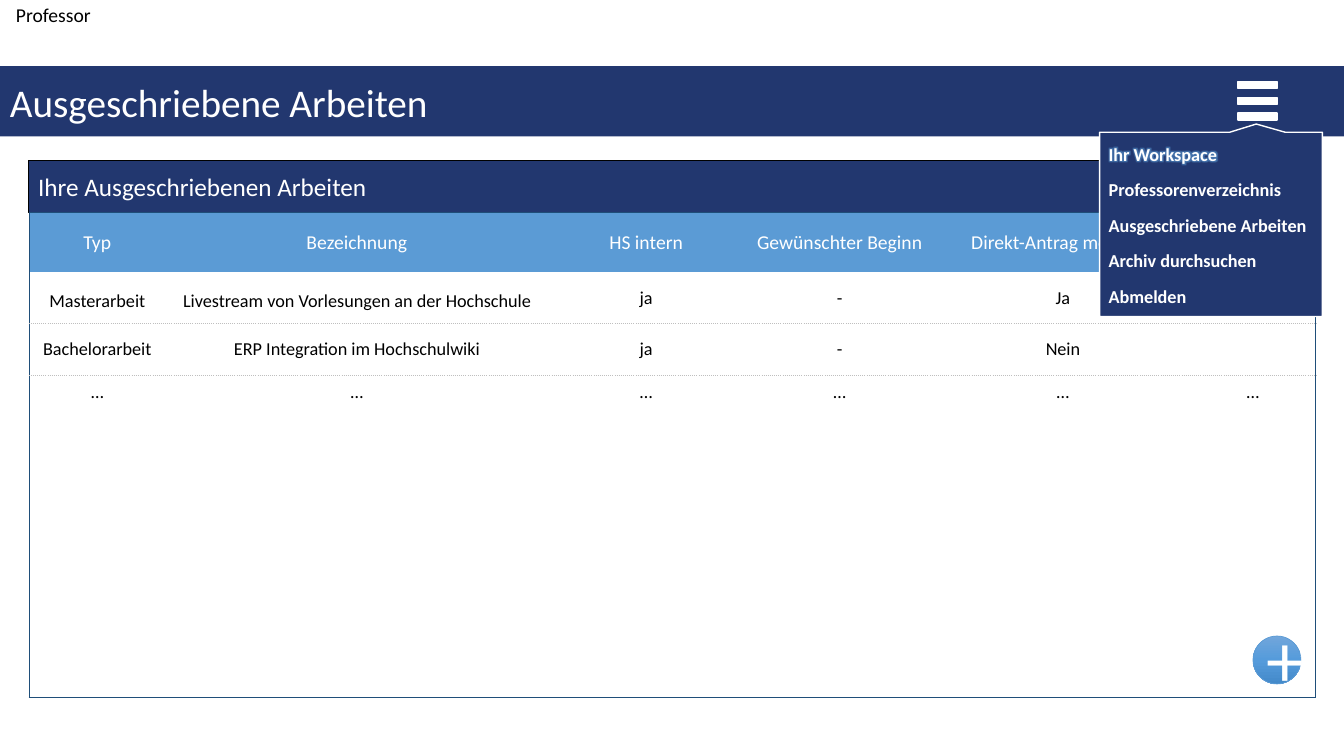
from copy import deepcopy

from lxml import etree
from pptx import Presentation
from pptx.dml.color import RGBColor
from pptx.enum.shapes import MSO_SHAPE
from pptx.enum.text import MSO_ANCHOR, PP_ALIGN
from pptx.oxml.ns import qn
from pptx.util import Pt

RECTANGLE = MSO_SHAPE.RECTANGLE
ELLIPSE = MSO_SHAPE.OVAL
CALLOUT = MSO_SHAPE.RECTANGULAR_CALLOUT
MIDDLE, TOP = MSO_ANCHOR.MIDDLE, MSO_ANCHOR.TOP
LEFT, CENTER = PP_ALIGN.LEFT, PP_ALIGN.CENTER

FONT = "Calibri"
NAVY = RGBColor(0x22, 0x37, 0x6F)
BLUE = RGBColor(0x5B, 0x9B, 0xD5)
FRAME = RGBColor(0x1F, 0x4E, 0x79)
DOTTED = RGBColor(0xBF, 0xBF, 0xBF)
WHITE = RGBColor(0xFF, 0xFF, 0xFF)
BLACK = RGBColor(0, 0, 0)
BUTTON_STOPS = [
    (0, RGBColor(0x71, 0xA6, 0xDB)),
    (0.5, RGBColor(0x55, 0x9B, 0xDB)),
    (1, RGBColor(0x44, 0x8A, 0xCA)),
]

ROLE = "Professor"
PAGE_TITLE = "Ausgeschriebene Arbeiten"
TABLE_TITLE = "Ihre Ausgeschriebenen Arbeiten"
ROWS = [
    ["Typ", "Bezeichnung", "HS intern", "Gewünschter Beginn",
     "Direkt-Antrag möglich?", "bearbeiten"],
    ["Masterarbeit", "Livestream von Vorlesungen an der Hochschule", "ja", "-", "Ja", ""],
    ["Bachelorarbeit", "ERP Integration im Hochschulwiki", "ja", "-", "Nein", ""],
    ["…"] * 6,
]
COLUMN_WIDTHS = [97.2, 273.6, 139.7, 136.8, 182.2, 89.3]
ROW_HEIGHTS = [42.5, 36.7, 36.7, 230.4]
MENU = ["Ihr Workspace", "Professorenverzeichnis", "Ausgeschriebene Arbeiten",
        "Archiv durchsuchen", "Abmelden"]
MENU_LEFT, MENU_TOP, MENU_WIDTH, MENU_STEP = 784.8, 98.6, 159.1, 25.4
ICON_LEFT, ICON_TOP, ICON_SIZE = 883.6, 57.7, 29.3
BAR_STEP = 11.2


def write(frame, text, size, color, align=LEFT, bold=False):
    paragraph = frame.paragraphs[0]
    paragraph.alignment = align
    run = paragraph.add_run()
    run.text = text
    run.font.name, run.font.size, run.font.bold = FONT, Pt(size), bold
    run.font.color.rgb = color
    return run


def set_insets(target, left, top, right, bottom):
    target.margin_left, target.margin_top = Pt(left), Pt(top)
    target.margin_right, target.margin_bottom = Pt(right), Pt(bottom)


def add_shape(shapes, kind, box, fill, line=None, line_width=1):
    shape = shapes.add_shape(kind, *map(Pt, box))
    shape.shadow.inherit = False
    shape.fill.solid()
    shape.fill.fore_color.rgb = fill
    if line is None:
        shape.line.fill.background()
    else:
        shape.line.color.rgb = line
        shape.line.width = Pt(line_width)
    shape.text_frame.vertical_anchor = MIDDLE
    shape.text_frame.word_wrap = True
    return shape


def add_label(shapes, box, text, size, color, bold=False):
    label = shapes.add_textbox(*map(Pt, box))
    label.text_frame.word_wrap = True
    return write(label.text_frame, text, size, color, bold=bold)


def add_glow(run):
    properties = run.font._element
    effects = etree.Element(qn("a:effectLst"))
    glow = etree.SubElement(effects, qn("a:glow"), rad=str(Pt(5)))
    color = etree.SubElement(glow, qn("a:srgbClr"), val=str(BLUE))
    etree.SubElement(color, qn("a:alpha"), val="60000")
    properties.find(qn("a:solidFill")).addnext(effects)


def set_borders(cell, borders):
    """Draw the sides given as side: (color, width, dash) and clear the others."""
    properties = cell._tc.get_or_add_tcPr()
    for index, side in enumerate("LRTB"):
        line = etree.Element(qn(f"a:ln{side}"))
        if side in borders:
            color, width, dash = borders[side]
            line.set("w", str(Pt(width)))
            fill = etree.SubElement(line, qn("a:solidFill"))
            etree.SubElement(fill, qn("a:srgbClr"), val=str(color))
            etree.SubElement(line, qn("a:prstDash"), val=dash)
        else:
            etree.SubElement(line, qn("a:noFill"))
        properties.insert(index, line)


def cell_borders(row, column):
    solid, dots = (FRAME, 1, "solid"), (DOTTED, 0.5, "sysDot")
    last_row, last_column = len(ROWS) - 1, len(COLUMN_WIDTHS) - 1
    borders = {}
    if column == 0:
        borders["L"] = solid
    if column == last_column:
        borders["R"] = solid
    if row != 1:
        borders["T"] = solid if row == 0 else dots
    if row != 0:
        borders["B"] = solid if row == last_row else dots
    return borders


def add_theses_table(shapes):
    table = shapes.add_table(
        len(ROWS), len(COLUMN_WIDTHS), Pt(20.9), Pt(151.9),
        Pt(sum(COLUMN_WIDTHS)), Pt(sum(ROW_HEIGHTS))).table
    table.first_row = table.horz_banding = False
    for column, width in zip(table.columns, COLUMN_WIDTHS):
        column.width = Pt(width)
    for r, texts in enumerate(ROWS):
        table.rows[r].height = Pt(ROW_HEIGHTS[r])
        header = r == 0
        for c, text in enumerate(texts):
            cell = table.cell(r, c)
            cell.vertical_anchor = TOP if r == len(ROWS) - 1 else MIDDLE
            bottom = 0 if header or (r == 1 and c < 2) else 4.3
            set_insets(cell, 7.2, 0 if header else 4.3, 7.2, bottom)
            if header:
                cell.fill.solid()
                cell.fill.fore_color.rgb = BLUE
            else:
                cell.fill.background()
            set_borders(cell, cell_borders(r, c))
            if text:
                write(cell.text_frame, text, 14 if header else 13,
                      WHITE if header else BLACK, CENTER)


def add_plus_button(shapes):
    button = add_shape(shapes, ELLIPSE, (895, 454.3, 34.2, 34.2), BLUE, BLUE, 0.5)
    button.fill.gradient()
    button.fill.gradient_angle = 270
    first = button.fill.gradient_stops[0]._gs
    first.addnext(deepcopy(first))
    for stop, (position, color) in zip(button.fill.gradient_stops, BUTTON_STOPS):
        stop.position = position
        stop.color.rgb = color
    set_insets(button.text_frame, 4.3, 0, 2.9, 4.3)
    write(button.text_frame, "+", 54, WHITE, CENTER)


def add_menu_icon(shapes):
    icon = shapes.add_group_shape().shapes
    add_shape(icon, RECTANGLE, (ICON_LEFT, ICON_TOP, ICON_SIZE, ICON_SIZE), NAVY)
    for i in range(3):
        bar = (ICON_LEFT + 0.7, ICON_TOP + 0.7 + i * BAR_STEP, 28, 5)
        add_shape(icon, RECTANGLE, bar, WHITE, WHITE)


def add_menu(shapes):
    menu = shapes.add_group_shape().shapes
    panel = add_shape(menu, CALLOUT, (785.5, 94.5, MENU_WIDTH, 131.6), NAVY, WHITE)
    panel.rotation = 180
    panel.adjustments[0], panel.adjustments[1] = -0.203, 0.545
    for i, entry in enumerate(MENU):
        box = (MENU_LEFT, MENU_TOP + i * MENU_STEP, MENU_WIDTH, 23)
        run = add_label(menu, box, entry, 13, WHITE, bold=True)
        if i == 0:
            add_glow(run)


def main():
    presentation = Presentation()
    presentation.slide_width, presentation.slide_height = Pt(960), Pt(540)
    slide = presentation.slides.add_slide(presentation.slide_layouts[6])
    shapes = slide.shapes
    banner = add_shape(shapes, RECTANGLE, (0, 47.3, 960, 50.2), NAVY)
    write(banner.text_frame, PAGE_TITLE, 28, WHITE)
    heading = add_shape(shapes, RECTANGLE, (20.2, 114.5, 919.4, 37.4), NAVY, BLACK)
    write(heading.text_frame, TABLE_TITLE, 18, WHITE)
    add_theses_table(shapes)
    add_label(shapes, (4.3, -1.4, 103, 24.2), ROLE, 14, BLACK)
    add_plus_button(shapes)
    add_menu_icon(shapes)
    add_menu(shapes)
    presentation.save("out.pptx")


if __name__ == "__main__":
    main()
